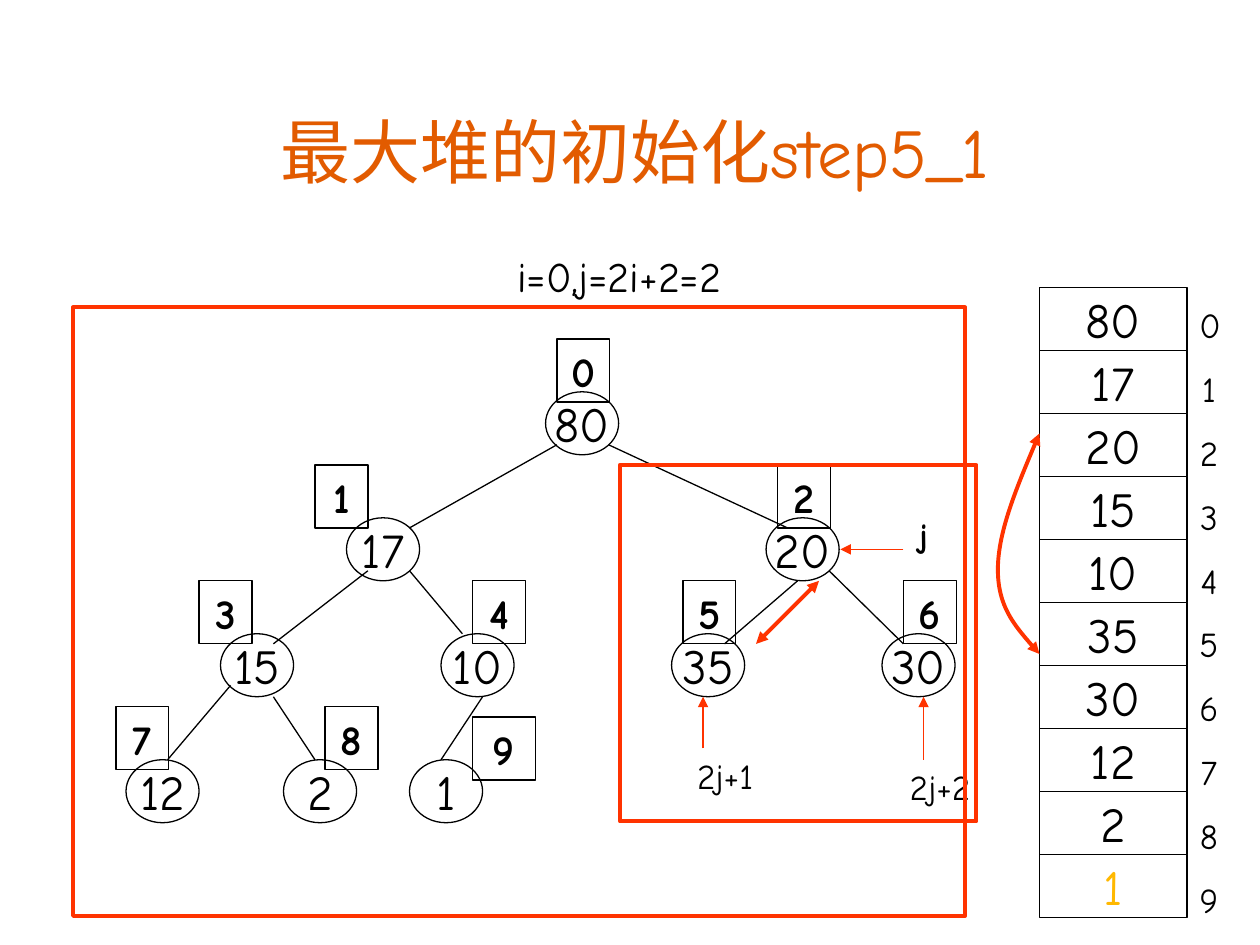
import pptx
import pptx.util
import pptx.dml.color
import pptx.enum.shapes
import pptx.enum.text
import pptx.oxml.ns
import pptx.oxml.xmlchemy
from pptx.util import Inches

COLORS = {"title": "E25B00", "text": "000000", "accent": "FF3300", "last": "FFB800"}
LATIN = "Comic Neue"
CJK = "Noto Sans CJK SC"
SHAPES = pptx.enum.shapes.MSO_SHAPE
ANCHOR = pptx.enum.text.MSO_ANCHOR
qn = pptx.oxml.ns.qn
new_element = pptx.oxml.xmlchemy.OxmlElement

presentation = pptx.Presentation()
presentation.slide_width = Inches(10)
presentation.slide_height = Inches(7.5)
slide = presentation.slides.add_slide(presentation.slide_layouts[6])


def add_box(kind, box, lines=(), size=24, bold=False, color="text",
            line=None, width=0.75, anchor=ANCHOR.TOP, wrap=True, spacing=0):
    """Add a text box (kind None) or an unfilled preset shape with centred text."""
    position = [Inches(value) for value in box]
    if kind is None:
        shape = slide.shapes.add_textbox(*position)
    else:
        shape = slide.shapes.add_shape(kind, *position)
        shape.shadow.inherit = False
        shape.fill.background()
        shape.line.color.rgb = pptx.dml.color.RGBColor.from_string(COLORS[line])
        shape.line.width = pptx.util.Pt(width)
    frame = shape.text_frame
    frame.word_wrap = wrap
    frame.vertical_anchor = anchor
    for index, text in enumerate(lines):
        paragraph = frame.paragraphs[0] if index == 0 else frame.add_paragraph()
        if index:
            paragraph.space_before = pptx.util.Pt(spacing)
        paragraph.alignment = pptx.enum.text.PP_ALIGN.CENTER
        paragraph.font.size = pptx.util.Pt(size)
        paragraph.font.bold = bold
        paragraph.font.name = LATIN
        paragraph.font.color.rgb = pptx.dml.color.RGBColor.from_string(COLORS[color])
        paragraph.add_run().text = text
    return shape


def style_line(shape, color, width=0.75, ends=()):
    """Colour a line, drop its shadow and add triangle arrowheads."""
    shape.line.color.rgb = pptx.dml.color.RGBColor.from_string(COLORS[color])
    shape.line.width = pptx.util.Pt(width)
    properties = shape._element.spPr
    for end in ends:
        arrowhead = new_element(f"a:{end}End")
        arrowhead.set("type", "triangle")
        properties.find(qn("a:ln")).append(arrowhead)
    properties.append(new_element("a:effectLst"))


# Title, with its Chinese and Latin parts in separate fonts
title = add_box(None, (0.75, 0.75, 8.58, 0.83), ["最大堆的初始化"], 40,
                color="title", anchor=ANCHOR.BOTTOM)
title_paragraph = title.text_frame.paragraphs[0]
chinese_run = title_paragraph.runs[0]
chinese_run.font.name = CJK
east_asian = new_element("a:ea")
east_asian.set("typeface", CJK)
chinese_run._r.get_or_add_rPr().append(east_asian)
title_paragraph.add_run().text = "step5_1"

add_box(None, (0.5, 1.94, 8.83, 0.5), ["i=0,j=2i+2=2"])

# Heap values, with node left, node top and index label left
heap = [
    (80, 4.33, 3.11, 4.42),
    (17, 2.75, 4.11, 2.5),
    (20, 6.08, 4.11, 6.17),
    (15, 1.75, 5.03, 1.58),
    (10, 3.5, 5.03, 3.75),
    (35, 5.33, 5.03, 5.42),
    (30, 7, 5.03, 7.17),
    (12, 1, 6.03, 0.92),
    (2, 2.25, 6.03, 2.58),
    (1, 3.25, 6.03, 3.75),
]

# Tree nodes
for value, left, top, label_left in heap:
    add_box(SHAPES.FLOWCHART_CONNECTOR, (left, top, 0.58, 0.5), [str(value)], 28,
            line="text", anchor=ANCHOR.MIDDLE, wrap=False)

# Tree edges, then pointer arrows, then the swap arrow
edges = [
    (4.42, 3.53, 3.25, 4.19), (4.83, 3.53, 6.25, 4.19),
    (2.92, 4.53, 2.17, 5.11), (3.25, 4.53, 3.67, 5.03),
    (6.33, 4.61, 5.75, 5.11), (6.58, 4.53, 7.17, 5.11),
    (1.83, 5.44, 1.33, 6.03), (2.17, 5.53, 2.5, 6.03),
    (3.83, 5.53, 3.5, 6.03),
]
pointers = [(7.17, 4.36, 6.67, 4.36), (5.58, 5.94, 5.58, 5.53), (7.33, 6.03, 7.33, 5.53)]
swaps = [(6, 5.11, 6.5, 4.61)]
for lines, color, width, ends in (
    (edges, "text", 0.75, ()),
    (pointers, "accent", 0.75, ("tail",)),
    (swaps, "accent", 2.25, ("head", "tail")),
):
    for points in lines:
        connector = slide.shapes.add_connector(
            pptx.enum.shapes.MSO_CONNECTOR.STRAIGHT, *[Inches(value) for value in points])
        style_line(connector, color, width, ends)

# Index labels; the last one is wider and lower
for index, (value, left, top, label_left) in enumerate(heap):
    is_last = index == len(heap) - 1
    label_top = top - (0.34 if is_last else 0.42)
    add_box(SHAPES.RECTANGLE, (label_left, label_top, 0.5 if is_last else 0.42, 0.5),
            [str(index)], bold=True, line="text")

# Array column
for index, (value, left, top, label_left) in enumerate(heap):
    add_box(SHAPES.FLOWCHART_PROCESS, (8.25, 2.28 + 0.5 * index, 1.17, 0.5),
            [str(value)], 28, color="last" if value == 1 else "text",
            line="text", anchor=ANCHOR.MIDDLE, wrap=False)
add_box(None, (9.42, 2.36, 0.35, 5), [str(index) for index in range(len(heap))],
        20, spacing=12.5)

# Pointer captions
add_box(None, (7.08, 4.03, 0.5, 0.44), ["j"], 20, bold=True)
add_box(None, (5.33, 5.94, 0.85, 0.44), ["2j+1"], 20)
add_box(None, (7, 6.03, 0.92, 0.44), ["2j+2"], 20)

# Curved swap arrow: each three points become one Bezier segment
curve_points = [(8.08, 3.84), (7.92, 4.23), (7.92, 4.52),
                (7.92, 4.81), (8.08, 5), (8.25, 5.19)]
builder = slide.shapes.build_freeform(Inches(8.25), Inches(3.44))
builder.add_line_segments([(Inches(x), Inches(y)) for x, y in curve_points], close=False)
curve = builder.convert_to_shape()
curve.fill.background()
style_line(curve, "accent", 2.25, ("head", "tail"))
segments = list(curve._element.iter(qn("a:lnTo")))
for start in range(0, len(segments), 3):
    bezier = new_element("a:cubicBezTo")
    segments[start].addprevious(bezier)
    for segment in segments[start:start + 3]:
        bezier.append(segment[0])
        segment.getparent().remove(segment)

# Frames around the whole tree and the subtree of j
for box in ((0.58, 2.44, 7.08, 4.83), (4.92, 3.69, 2.83, 2.83)):
    add_box(SHAPES.RECTANGLE, box, line="accent", width=2.25)

presentation.save("out.pptx")
